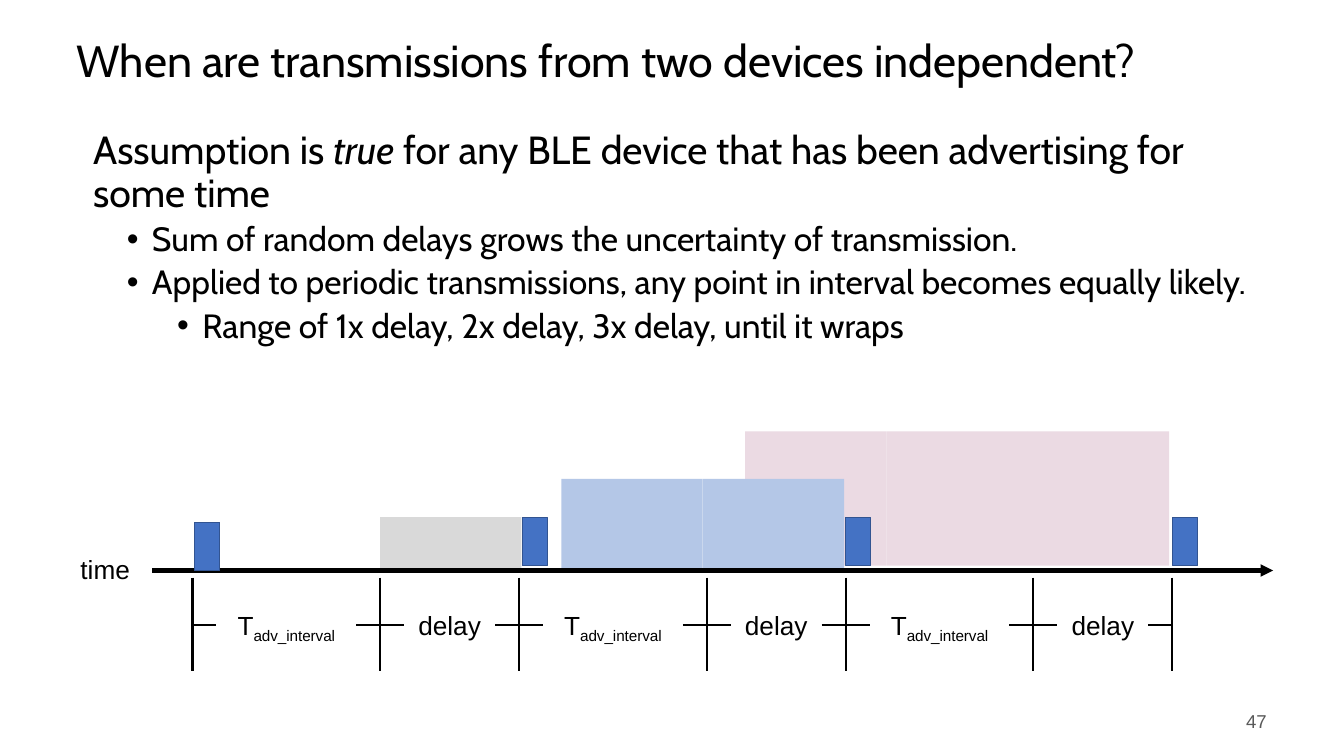
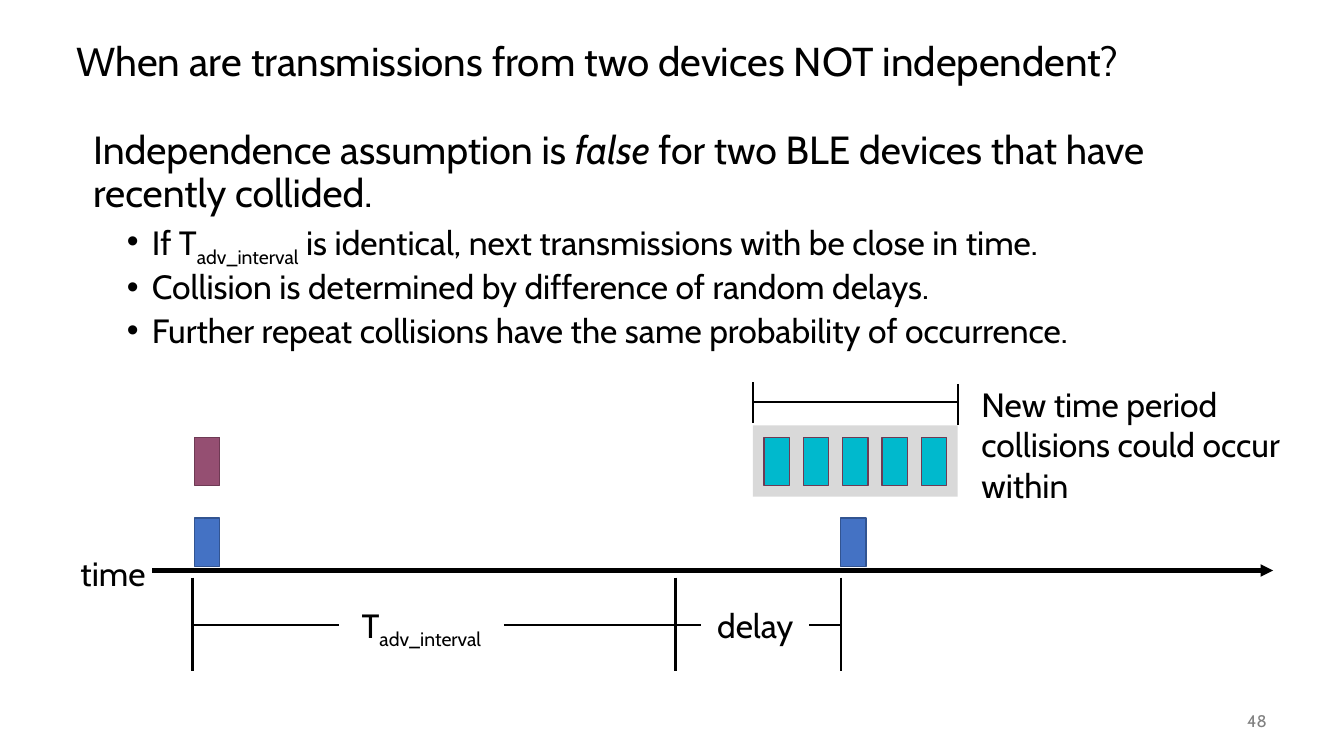
from lxml.etree import SubElement
from pptx import Presentation
from pptx.dml.color import RGBColor
from pptx.enum.shapes import MSO_CONNECTOR, MSO_SHAPE
from pptx.enum.text import MSO_ANCHOR, PP_ALIGN
from pptx.oxml.ns import qn
from pptx.util import Pt

BLACK = "000000"
GREY = "D9D9D9"
BLUE = "4472C4"
BLUE_EDGE = "325491"
PLUM = "954F72"
PLUM_EDGE = "6E3A54"
TEAL = "00B9CD"


def color(value):
    """Turn a hex string into a colour."""
    return RGBColor.from_string(value)


def add_span(paragraph, text, font="Cabin", size=24, fill=BLACK, italic=False, subscript=False):
    """Append formatted text to a paragraph."""
    span = paragraph.add_run()
    span.text = text
    span.font.name = font
    span.font.size = Pt(size)
    span.font.color.rgb = color(fill)
    span.font.italic = italic
    if subscript:
        span.font._element.set("baseline", "-25000")


def add_bullet(paragraph):
    """Give a paragraph a round bullet."""
    properties = paragraph._p.get_or_add_pPr()
    SubElement(properties, qn("a:buFont"), typeface="Arial")
    SubElement(properties, qn("a:buChar"), char="•")


class Slides:
    """Hold the shared style and the page being built."""

    axis_y = 407.5
    tick_top, tick_bottom = 412.6, 479.5
    span_y = 446.4
    bar_size = (18, 34.5)
    indents = ((12, 0), (54, -18), (90, -18))

    def __init__(self):
        """Start an empty widescreen deck."""
        self.deck = Presentation()
        self.deck.slide_width = Pt(960)
        self.deck.slide_height = Pt(540)

    def add_page(self, title, title_size, number, number_style, label_style):
        """Add a page with its title and number."""
        self.page = self.deck.slides.add_slide(self.deck.slide_layouts[6])
        self.label_style = label_style
        box = self.add_text(47.5, 18, 864, 54, [title], anchor=MSO_ANCHOR.MIDDLE, size=title_size)
        box.text_frame.paragraphs[0].line_spacing = 0.9
        self.add_text(840, 500.4, 72, 28.8, [number], PP_ALIGN.RIGHT, MSO_ANCHOR.MIDDLE, **number_style)

    def add_box(self, left, top, width, height, anchor=MSO_ANCHOR.TOP):
        """Add an empty wrapping text box."""
        box = self.page.shapes.add_textbox(Pt(left), Pt(top), Pt(width), Pt(height))
        box.text_frame.word_wrap = True
        box.text_frame.vertical_anchor = anchor
        return box

    def fill_paragraph(self, paragraph, pieces, **style):
        """Write plain strings and (text, format) pairs."""
        for piece in pieces:
            text, extra = (piece, {}) if isinstance(piece, str) else piece
            add_span(paragraph, text, **style, **extra)

    def add_text(self, left, top, width, height, pieces, align=PP_ALIGN.LEFT,
                 anchor=MSO_ANCHOR.TOP, **style):
        """Add a box holding one paragraph."""
        box = self.add_box(left, top, width, height, anchor)
        paragraph = box.text_frame.paragraphs[0]
        paragraph.alignment = align
        self.fill_paragraph(paragraph, pieces, **style)
        return box

    def add_body(self, items):
        """Add the statement and its bullets from (level, pieces) items."""
        frame = self.add_box(47.5, 90, 864, 396).text_frame
        for index, (level, pieces) in enumerate(items):
            paragraph = frame.add_paragraph() if index else frame.paragraphs[0]
            margin, indent = self.indents[level]
            properties = paragraph._p.get_or_add_pPr()
            properties.set("marL", str(Pt(margin)))
            properties.set("indent", str(Pt(indent)))
            if level:
                add_bullet(paragraph)
            paragraph.level = level
            paragraph.line_spacing = 0.9
            if index:
                paragraph.space_before = Pt(5)
            self.fill_paragraph(paragraph, pieces, size=24 if level else 28)

    def add_block(self, left, top, width, height, fill, edge=None):
        """Add a rectangle, outlined only when an edge colour is given."""
        block = self.page.shapes.add_shape(
            MSO_SHAPE.RECTANGLE, Pt(left), Pt(top), Pt(width), Pt(height))
        block.shadow.inherit = False
        block.fill.solid()
        block.fill.fore_color.rgb = color(fill)
        if edge:
            block.line.color.rgb = color(edge)
            block.line.width = Pt(1)
        else:
            block.line.fill.background()

    def add_bar(self, left, top=370, fill=BLUE, edge=BLUE_EDGE):
        """Add one transmission."""
        self.add_block(left, top, *self.bar_size, fill, edge)

    def add_line(self, x1, y1, x2, y2, width=1.5, arrow=False):
        """Add a straight black line."""
        line = self.page.shapes.add_connector(
            MSO_CONNECTOR.STRAIGHT, Pt(x1), Pt(y1), Pt(x2), Pt(y2))
        line.line.color.rgb = color(BLACK)
        line.line.width = Pt(width)
        if arrow:
            SubElement(line.line._get_or_add_ln(), qn("a:tailEnd"), type="triangle")
        SubElement(line._element.spPr, qn("a:effectLst"))
        return line

    def add_axis(self, label_width):
        """Add the time arrow and its label."""
        self.add_line(108.7, self.axis_y, 909.4, self.axis_y, 3, arrow=True)
        self.add_text(50.4, 391.7, label_width, 30, ["time"], **self.label_style)

    def add_tick(self, x):
        """Add one boundary below the axis."""
        self.add_line(x, self.tick_top, x, self.tick_bottom)

    def add_spans(self, start, spans, height):
        """Add labelled spans from (pieces, length, label width, label shift)."""
        self.add_tick(start)
        for pieces, length, width, shift in spans:
            end = start + length
            left = (start + end - width) / 2 + shift
            label = self.add_text(left, self.span_y - height / 2, width, height, pieces,
                                  PP_ALIGN.CENTER, **self.label_style)
            before = self.add_line(start, self.span_y, left, self.span_y)
            before.end_connect(label, 1)
            after = self.add_line(left + width, self.span_y, end, self.span_y)
            after.begin_connect(label, 3)
            self.add_tick(end)
            start = end


INTERVAL = ["T", ("adv_interval", {"subscript": True})]
START = 137.5


def add_independent(slides):
    """Build the page on independent transmissions."""
    slides.add_page("When are transmissions from two devices independent?", 32, "47",
                    {"font": "Arial", "size": 13.3, "fill": "595959"},
                    {"font": "Arial", "size": 18.7})
    slides.add_body([
        (0, ["Assumption is ", ("true", {"italic": True}),
             " for any BLE device that has been advertising for some time"]),
        (1, ["Sum of random delays grows the uncertainty of transmission."]),
        (1, ["Applied to periodic transmissions, any point in interval becomes equally likely."]),
        (2, ["Range of 1x delay, 2x delay, 3x delay, until it wraps"]),
    ])
    delay_width = 101
    for count, right, top, height, fill in [(3, 835.2, 308.2, 95.8, "EBDAE3"),
                                            (2, 603, 342, 64, "B4C7E7"),
                                            (1, 372.5, 369.4, 36.7, GREY)]:
        for step in range(1, count + 1):
            slides.add_block(right - step * delay_width, top, delay_width, height, fill)
    slides.add_axis(58)
    slides.add_bar(139, 373)
    for left in (373, 604, 837.4):
        slides.add_bar(left, 369.5)
    slides.add_spans(START, [(INTERVAL, 134, 100, 0), (["delay"], 99.3, 65, 0)] * 3, 30)


def add_dependent(slides):
    """Build the page on transmissions that recently collided."""
    slides.add_page("When are transmissions from two devices NOT independent?", 28.8, "48",
                    {"size": 12, "fill": "808080"}, {"size": 24})
    slides.add_body([
        (0, ["Independence assumption is ", ("false", {"italic": True}),
             " for two BLE devices that have recently collided."]),
        (1, ["If ", *INTERVAL, " is identical, next transmissions with be close in time."]),
        (1, ["Collision is determined by difference of random delays."]),
        (1, ["Further repeat collisions have the same probability of occurrence."]),
    ])
    window_left, window_right, window_top = 537.8, 684, 303.8
    slides.add_block(window_left, window_top, window_right - window_left, 51, GREY)
    slides.add_axis(118)
    for left in (139, 600.5):
        slides.add_bar(left)
    bar_top = 312.3
    slides.add_bar(139, bar_top, PLUM, PLUM_EDGE)
    for index in range(5):
        slides.add_bar(545.8 + 28.1 * index, bar_top, TEAL, PLUM_EDGE)
    slides.add_spans(START, [(INTERVAL, 345, 118, -9), (["delay"], 118, 77, -2)], 36)
    slides.add_text(694, 270.7, 235.5, 94.3,
                    ["New time period collisions could occur within"], **slides.label_style)
    slides.add_line(window_left, 273, window_left, 302.4)
    slides.add_line(window_right, 274.3, window_right, window_top)
    slides.add_line(window_left, 287.3, window_right, 287.3)


def main():
    """Build and save the deck."""
    slides = Slides()
    add_independent(slides)
    add_dependent(slides)
    slides.deck.save("out.pptx")


if __name__ == "__main__":
    main()
